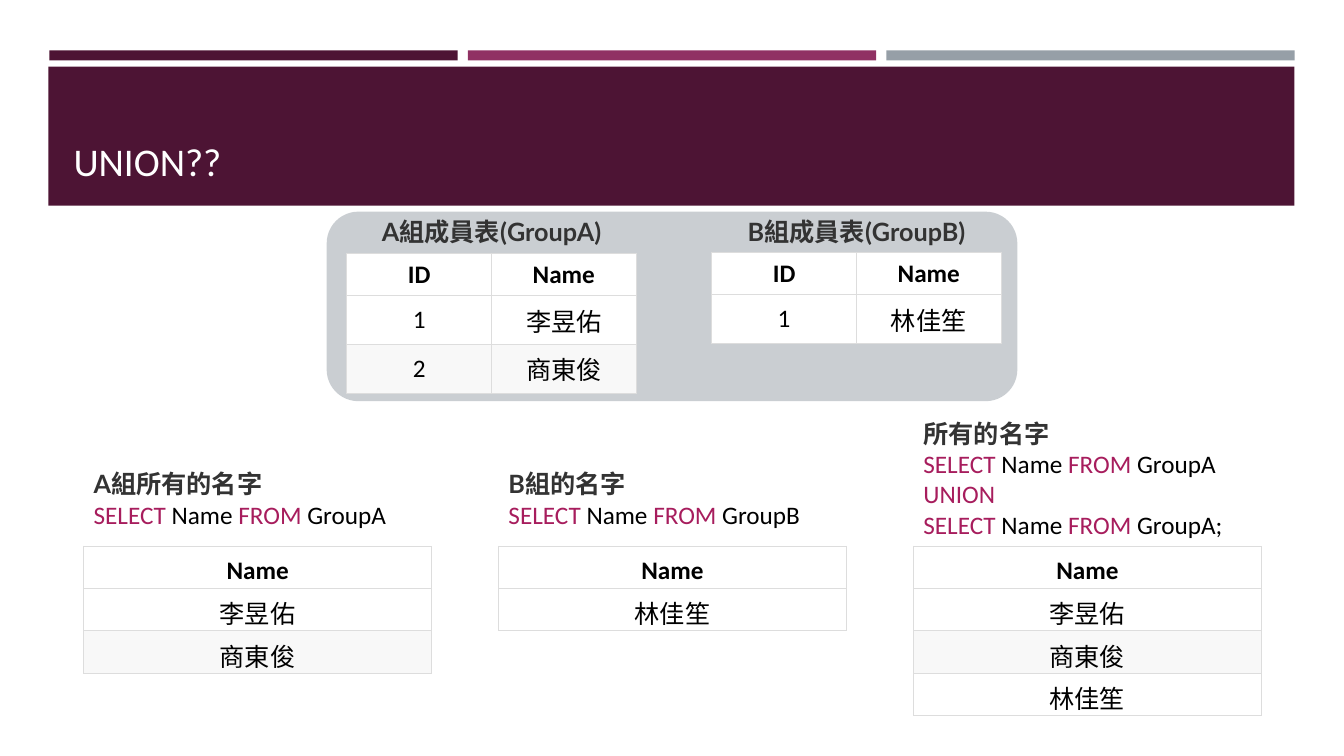
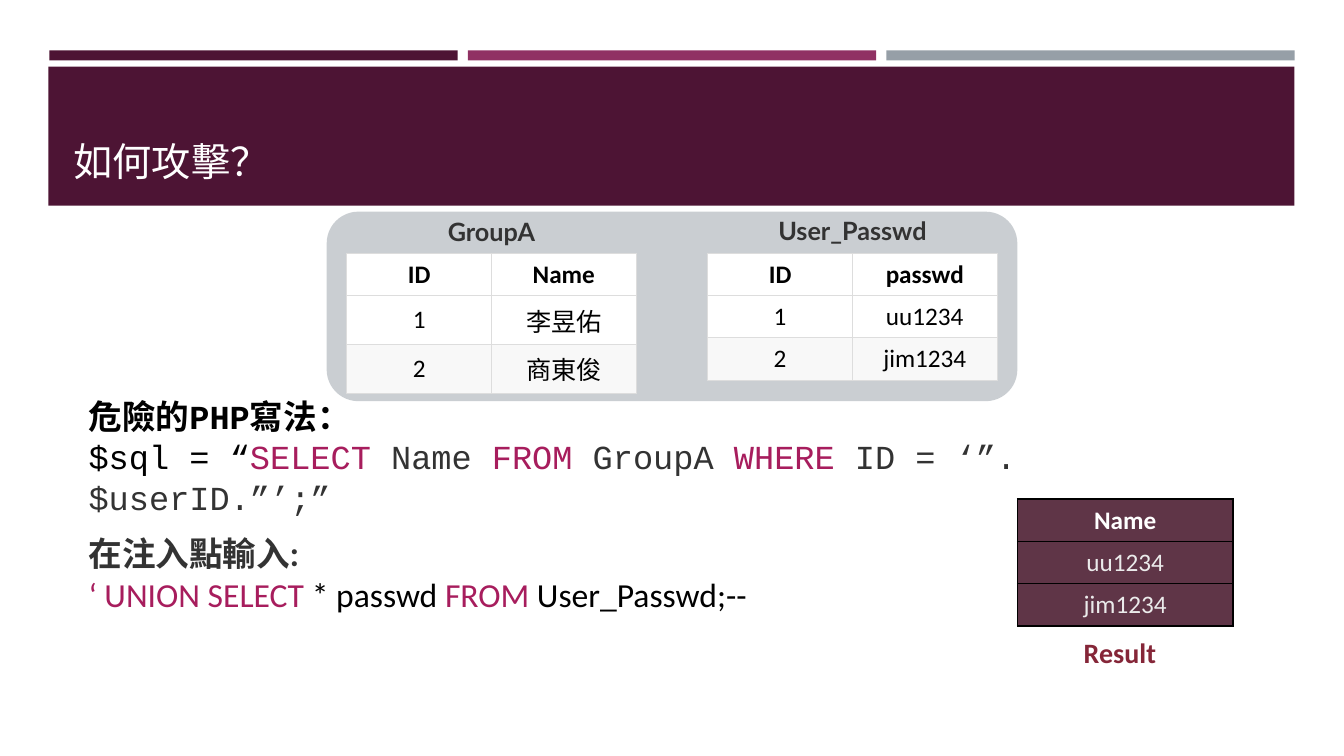
from lxml import etree
from pptx import Presentation
from pptx.dml.color import RGBColor
from pptx.enum.shapes import MSO_SHAPE
from pptx.enum.text import MSO_ANCHOR, MSO_AUTO_SIZE, PP_ALIGN
from pptx.oxml.ns import qn
from pptx.util import Inches, Pt

WHITE = RGBColor(0xFF, 0xFF, 0xFF)
BLACK = RGBColor(0x00, 0x00, 0x00)
INK = RGBColor(0x33, 0x33, 0x33)
PLUM = RGBColor(0x4D, 0x14, 0x34)
MAGENTA = RGBColor(0x90, 0x31, 0x63)
GREY = RGBColor(0x96, 0x9F, 0xA7)
KEYWORD = RGBColor(0xA7, 0x1D, 0x5D)
STRIPE = RGBColor(0xF8, 0xF8, 0xF8)
RULE = RGBColor(0xDD, 0xDD, 0xDD)
RESULT_FILL = RGBColor(0x5F, 0x35, 0x47)
RESULT_TEXT = RGBColor(0xEB, 0xEB, 0xEB)
RESULT_LABEL = RGBColor(0x85, 0x26, 0x38)

BODY, LABEL, CODE = "Calibri", "Lato", "Courier New"
ROW_H = 0.42
GROUP_W = 2.87
GROUP_A = [("ID", "Name"), ("1", "李昱佑"), ("2", "商東俊")]


class Deck:
    """Holds the shared style and the slide being built."""

    def __init__(self):
        self.prs = Presentation()
        self.prs.slide_width, self.prs.slide_height = Inches(13.33), Inches(7.5)
        self.s = None

    def font(self, font, name, size, color, bold=False):
        font.name, font.size, font.bold = name, Pt(size), bold
        font.color.rgb = color

    def shape(self, kind, x, y, w, h, color, alpha=None):
        sp = self.s.shapes.add_shape(kind, Inches(x), Inches(y), Inches(w), Inches(h))
        sp.shadow.inherit = False
        sp.fill.solid()
        sp.fill.fore_color.rgb = color
        sp.line.fill.background()
        if alpha is not None:
            clr = next(sp.fill._xPr.iter(qn("a:srgbClr")))
            etree.SubElement(clr, qn("a:alpha")).set("val", str(alpha * 1000))

    def slide(self, title):
        self.s = self.prs.slides.add_slide(self.prs.slide_layouts[5])
        # Three thin bands over the title block
        for i, color in enumerate((PLUM, MAGENTA, GREY)):
            self.shape(MSO_SHAPE.RECTANGLE, 0.49 + 4.15 * i, 0.5, 4.05, 0.1, color)
        self.shape(MSO_SHAPE.RECTANGLE, 0.48, 0.66, 12.36, 1.38, PLUM)
        # Title, brought in front of its block
        sp = self.s.shapes.title
        self.s.shapes._spTree.append(sp._element)
        sp.left, sp.top = Inches(0.63), Inches(0.8)
        sp.width, sp.height = Inches(12.06), Inches(1.08)
        tf = sp.text_frame
        tf.text = title
        tf.vertical_anchor = MSO_ANCHOR.BOTTOM
        p = tf.paragraphs[0]
        p.alignment = PP_ALIGN.LEFT
        self.font(p.font, BODY, 28, WHITE)
        # Rounded panel behind the two source tables
        self.shape(MSO_SHAPE.ROUNDED_RECTANGLE, 3.24, 2.1, 6.85, 1.88, GREY, 50)

    def box(self, x, y, w, h, wrap=True):
        tf = self.s.shapes.add_textbox(Inches(x), Inches(y), Inches(w), Inches(h)).text_frame
        tf.word_wrap = wrap
        tf.auto_size = MSO_AUTO_SIZE.SHAPE_TO_FIT_TEXT
        return tf

    def label(self, text, x, y, w, h=0.4, name=LABEL, size=18, color=INK,
              align=PP_ALIGN.CENTER, wrap=True):
        tf = self.box(x, y, w, h, wrap)
        p = tf.paragraphs[0]
        p.text, p.alignment = text, align
        self.font(p.font, name, size, color, True)
        return tf

    def query(self, heading, lines, x, y, w, h, size=18, head_font=LABEL,
              head_color=INK, code_font=BODY, color=BLACK):
        """Heading and code lines; keywords stand between bars."""
        tf = self.label(heading, x, y, w, h, head_font, size, head_color, PP_ALIGN.LEFT)
        for line in lines:
            p = tf.add_paragraph()
            for i, text in enumerate(line.split("|")):
                if text:
                    r = p.add_run()
                    r.text = text
                    plain = color if i else BLACK
                    self.font(r.font, code_font, size, KEYWORD if i % 2 else plain)

    def table(self, rows, x, y, w, bottom=0.06, head=BLACK, color=BLACK,
              fills=(WHITE, STRIPE), rule=RULE, rule_w=0.75):
        tbl = self.s.shapes.add_table(len(rows), len(rows[0]), Inches(x), Inches(y),
                                      Inches(w), Inches(ROW_H * len(rows))).table
        for i, row in enumerate(rows):
            for j, text in enumerate(row):
                cell = tbl.cell(i, j)
                cell.text = text
                cell.vertical_anchor = MSO_ANCHOR.MIDDLE
                cell.margin_left = cell.margin_right = Inches(0.14)
                cell.margin_top, cell.margin_bottom = Inches(0.06), Inches(bottom)
                p = cell.text_frame.paragraphs[0]
                p.alignment = PP_ALIGN.CENTER
                self.font(p.font, BODY, 18, color if i else head, i == 0)
                self.borders(cell, rule, rule_w)
                cell.fill.solid()
                cell.fill.fore_color.rgb = fills[1] if i and i % 2 == 0 else fills[0]

    def borders(self, cell, color, width):
        tc_pr = cell._tc.get_or_add_tcPr()
        for side in ("lnL", "lnR", "lnT", "lnB"):
            ln = etree.SubElement(tc_pr, qn("a:" + side), w=str(Pt(width)))
            fill = etree.SubElement(ln, qn("a:solidFill"))
            etree.SubElement(fill, qn("a:srgbClr"), val=str(color))


def union_slide(d):
    d.slide("UNION??")
    # Source tables
    d.table(GROUP_A, 3.44, 2.51, GROUP_W)
    d.table([("ID", "Name"), ("1", "林佳笙")], 7.06, 2.5, GROUP_W)
    d.label("A組成員表(GroupA)", 3.44, 2.1, GROUP_W)
    d.label("B組成員表(GroupB)", 7.06, 2.1, GROUP_W)
    # Queries with their results
    select = "|SELECT| Name |FROM |"
    queries = [
        ("A組所有的名字", [select + "GroupA"], ["李昱佑", "商東俊"], 4.6, 0.71),
        ("B組的名字", [select + "GroupB"], ["林佳笙"], 4.6, 0.71),
        ("所有的名字", [select + "GroupA", "|UNION|", select + "GroupA;"],
         ["李昱佑", "商東俊", "林佳笙"], 4.1, 1.31),
    ]
    for i, (heading, lines, names, y, h) in enumerate(queries):
        x = 0.83 + 4.115 * i
        d.query(heading, lines, x, y, 3.45, h)
        d.table([(name,) for name in ["Name"] + names], x, 5.42, 3.45, bottom=0)


def attack_slide(d):
    d.slide("如何攻擊？")
    # Source tables
    d.table(GROUP_A, 3.44, 2.51, GROUP_W)
    d.label("GroupA", 3.44, 2.1, GROUP_W)
    d.table([("ID", "passwd"), ("1", "uu1234"), ("2", "jim1234")], 7.02, 2.51, GROUP_W)
    d.label("User_Passwd", 7.02, 2.09, GROUP_W)
    # Unsafe code and the injected input
    d.query("危險的PHP寫法：",
            ["$sql = “|SELECT| Name |FROM |GroupA |WHERE| ID = ‘”.$userID.”’;”"],
            0.78, 3.88, 11.78, 0.91, 24, CODE, BLACK, CODE, INK)
    d.query("在注入點輸入:", ["|‘ UNION SELECT| * passwd |FROM |User_Passwd;--"],
            0.78, 5.24, 7.16, 0.91, 24)
    # Result
    d.table([("Name",), ("uu1234",), ("jim1234",)], 10.09, 4.95, 2.14, head=WHITE,
            color=RESULT_TEXT, fills=(RESULT_FILL, RESULT_FILL), rule=BLACK, rule_w=1)
    d.label("Result", 10.65, 6.26, 1.02, 0.44, BODY, 20, RESULT_LABEL,
            PP_ALIGN.LEFT, wrap=False)


def main():
    d = Deck()
    union_slide(d)
    attack_slide(d)
    d.prs.save("out.pptx")


if __name__ == "__main__":
    main()
